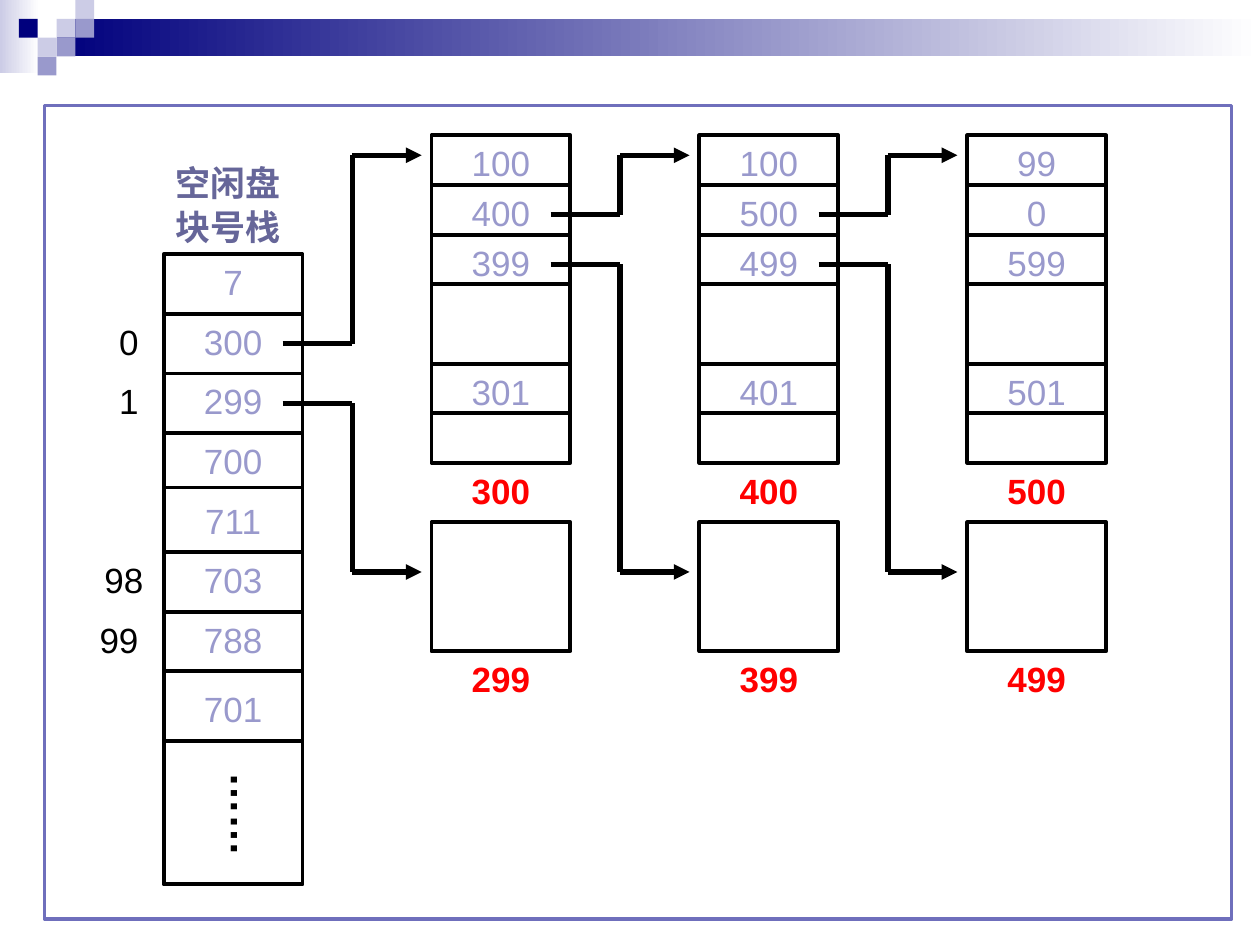
from dataclasses import dataclass

from lxml import etree
from pptx import Presentation
from pptx.dml.color import RGBColor
from pptx.enum.shapes import MSO_CONNECTOR, MSO_SHAPE
from pptx.enum.text import MSO_ANCHOR, MSO_AUTO_SIZE, PP_ALIGN
from pptx.oxml.ns import qn
from pptx.util import Cm, Pt

RECTANGLE = MSO_SHAPE.RECTANGLE
STRAIGHT = MSO_CONNECTOR.STRAIGHT
TOP = MSO_ANCHOR.TOP
GROW = MSO_AUTO_SIZE.SHAPE_TO_FIT_TEXT
CENTER, LEFT = PP_ALIGN.CENTER, PP_ALIGN.LEFT


@dataclass(frozen=True)
class Theme:
    navy: str = "00007D"
    lavender: str = "9999CC"
    pale: str = "CCCCE6"
    white: str = "FFFFFF"
    black: str = "000000"
    red: str = "FF0000"
    frame: str = "6F6FBC"
    heading: str = "666699"
    font: str = "Arial"
    body_size: float = 20
    dots_size: float = 24
    frame_line: float = 2
    cell_line: float = 2.25
    arrow_line: float = 3


def rgb(value):
    return RGBColor.from_string(value)


def set_all(target, values):
    for name, value in values.items():
        setattr(target, name, value)


class Painter:
    def __init__(self, page, theme):
        self.page = page
        self.theme = theme

    def rectangle(self, left, top, width, height, fill=None, fade=None, line=None, weight=0):
        """Draw a rectangle; with fade the fill runs from left to right."""
        box = self.page.shapes.add_shape(
            RECTANGLE, Cm(left), Cm(top), Cm(width), Cm(height))
        box.shadow.inherit = False
        if fade:
            box.fill.gradient()
            box.fill.gradient_angle = 0
            for stop, color in zip(box.fill.gradient_stops, (fill, fade)):
                stop.color.rgb = rgb(color)
        elif fill:
            box.fill.solid()
            box.fill.fore_color.rgb = rgb(fill)
        else:
            box.fill.background()
        if line:
            box.line.color.rgb = rgb(line)
            box.line.width = Pt(weight)
        else:
            box.line.fill.background()
        return box

    def cell(self, left, top, width, height):
        return self.rectangle(left, top, width, height,
                              line=self.theme.black, weight=self.theme.cell_line)

    def text(self, left, top, width, height, words, color, **options):
        box = self.page.shapes.add_textbox(Cm(left), Cm(top), Cm(width), Cm(height))
        self.fill_text(box, words, color, **options)

    def fill_text(self, box, words, color, bold=False, size=None, align=CENTER, vertical=False):
        frame = box.text_frame
        side, end = (0.13, 0.25) if vertical else (0.25, 0.13)
        set_all(frame, {
            "word_wrap": True, "auto_size": GROW, "vertical_anchor": TOP,
            "margin_left": Cm(side), "margin_right": Cm(side),
            "margin_top": Cm(end), "margin_bottom": Cm(end)})
        if vertical:
            box.element.txBody.bodyPr.set("vert", "eaVert")
        for index, line in enumerate(words.split("\n")):
            para = frame.add_paragraph() if index else frame.paragraphs[0]
            para.alignment = align
            if index:
                para.space_before = Pt(1.2)
            span = para.add_run()
            span.text = line
            set_all(span.font, {"name": self.theme.font, "bold": bold,
                                "size": Pt(size or self.theme.body_size)})
            span.font.color.rgb = rgb(color)

    def line(self, start, end, weight, arrow=False):
        connector = self.page.shapes.add_connector(
            STRAIGHT, *(Cm(value) for value in start + end))
        connector.line.color.rgb = rgb(self.theme.black)
        connector.line.width = Pt(weight)
        properties = connector.element.spPr
        if arrow:
            etree.SubElement(properties.find(qn("a:ln")), qn("a:tailEnd"), type="triangle")
        etree.SubElement(properties, qn("a:effectLst"))

    def dividers(self, left, width, heights):
        for top in heights:
            self.line((left, top), (left + width, top), self.theme.cell_line)

    def elbow_arrow(self, start, bend, end):
        """Go across to the bend, then up or down, then across to the end."""
        points = [start, (bend, start[1]), (bend, end[1]), end]
        for first, second in zip(points, points[1:]):
            self.line(first, second, self.theme.arrow_line, arrow=second is end)


COLUMN_WIDTH = 2.8
LABEL_HEIGHT = 1.1

STACK_LEFT, STACK_TOP, STACK_ROW = 3.3, 5.13, 1.2
STACK_HEIGHT = 9.8
STACK_VALUES = ["7", "300", "299", "700", "711", "703", "788", "701"]
STACK_DIVIDERS = [1, 2, 3, 5, 6, 7]
# words, left, width, stack row
INDEXES = [("0", 2.1, 1, 1), ("1", 2.1, 1, 2), ("98", 1.7, 1.6, 5), ("99", 1.5, 1.8, 6)]

BLOCK_LEFT, BLOCK_TOP, BLOCK_PITCH, BLOCK_HEIGHT = 8.7, 2.73, 5.4, 6.6
BLOCK_DIVIDERS = [1, 2, 3, 4.6, 5.6]
BLOCK_VALUE_OFFSETS = [0, 1, 2, 4.6]
DATA_TOP, DATA_HEIGHT = 10.53, 2.6
# values in the index block, its number, number of the data block below
BLOCKS = [
    (["100", "400", "399", "301"], "300", "299"),
    (["100", "500", "499", "401"], "400", "399"),
    (["99", "0", "599", "501"], "500", "499"),
]
INDEX_ARROW_TOP, DATA_ARROW_TOP = 3.13, 11.53

SQUARE = 0.38


def draw_header(painter):
    theme = painter.theme
    painter.rectangle(0, 0, 0.79, 1.47, fill=theme.pale, fade=theme.white)
    painter.rectangle(1.15, SQUARE, 24.25, 0.76, fill=theme.navy, fade=theme.white)
    for column, row, color in [
            (3, 1, theme.pale), (4, 0, theme.pale), (4, 1, theme.lavender),
            (2, 2, theme.pale), (1, 1, theme.navy), (3, 2, theme.lavender),
            (2, 3, theme.lavender)]:
        painter.rectangle(column * SQUARE, row * SQUARE, SQUARE, SQUARE, fill=color)


def draw_stack(painter):
    theme = painter.theme
    painter.cell(STACK_LEFT, STACK_TOP, COLUMN_WIDTH, STACK_HEIGHT)
    painter.dividers(STACK_LEFT, COLUMN_WIDTH,
                     [STACK_TOP + row * STACK_ROW for row in STACK_DIVIDERS])
    painter.text(2.9, 3.13, 3.4, 2, "空闲盘\n块号栈", theme.heading, bold=True)
    for row, value in enumerate(STACK_VALUES):
        top = STACK_TOP + row * STACK_ROW
        place = (STACK_LEFT, top, COLUMN_WIDTH, LABEL_HEIGHT)
        if value == "700":
            painter.fill_text(painter.cell(*place), value, theme.lavender)
        elif value == "701":
            painter.text(STACK_LEFT, top + 0.2, *place[2:], value, theme.lavender)
        else:
            painter.text(*place, value, theme.lavender)
    for words, left, width, row in INDEXES:
        painter.text(left, STACK_TOP + row * STACK_ROW, width, LABEL_HEIGHT,
                     words, theme.black)
    painter.cell(STACK_LEFT, STACK_TOP + STACK_HEIGHT, COLUMN_WIDTH, 2.9)
    painter.text(4.11, 15.32, 1.52, 2.2, "……", theme.black, bold=True,
                 size=theme.dots_size, align=LEFT, vertical=True)


def draw_blocks(painter):
    theme = painter.theme
    for number, (values, index_label, data_label) in enumerate(BLOCKS):
        left = BLOCK_LEFT + number * BLOCK_PITCH
        painter.cell(left, BLOCK_TOP, COLUMN_WIDTH, BLOCK_HEIGHT)
        painter.dividers(left, COLUMN_WIDTH,
                         [BLOCK_TOP + offset for offset in BLOCK_DIVIDERS])
        painter.cell(left, DATA_TOP, COLUMN_WIDTH, DATA_HEIGHT)
        for offset, value in zip(BLOCK_VALUE_OFFSETS, values):
            painter.text(left, BLOCK_TOP + offset, COLUMN_WIDTH, LABEL_HEIGHT,
                         value, theme.lavender)
        for bottom, label in [(BLOCK_TOP + BLOCK_HEIGHT, index_label),
                              (DATA_TOP + DATA_HEIGHT, data_label)]:
            painter.text(left, bottom, COLUMN_WIDTH, LABEL_HEIGHT, label,
                         theme.red, bold=True)
        starts = (4.33, 5.33) if number else (6.93, 8.13)
        for start, end in zip(starts, (INDEX_ARROW_TOP, DATA_ARROW_TOP)):
            painter.elbow_arrow((left - 3, start), left - 1.6, (left - 0.2, end))


def main():
    deck = Presentation()
    set_all(deck, {"slide_width": Cm(25.4), "slide_height": Cm(19.05)})
    theme = Theme()
    painter = Painter(deck.slides.add_slide(deck.slide_layouts[6]), theme)
    draw_header(painter)
    painter.rectangle(0.9, 2.13, 23.93, 16.4, fill=theme.white,
                      line=theme.frame, weight=theme.frame_line)
    draw_stack(painter)
    draw_blocks(painter)
    deck.save("out.pptx")


if __name__ == "__main__":
    main()
